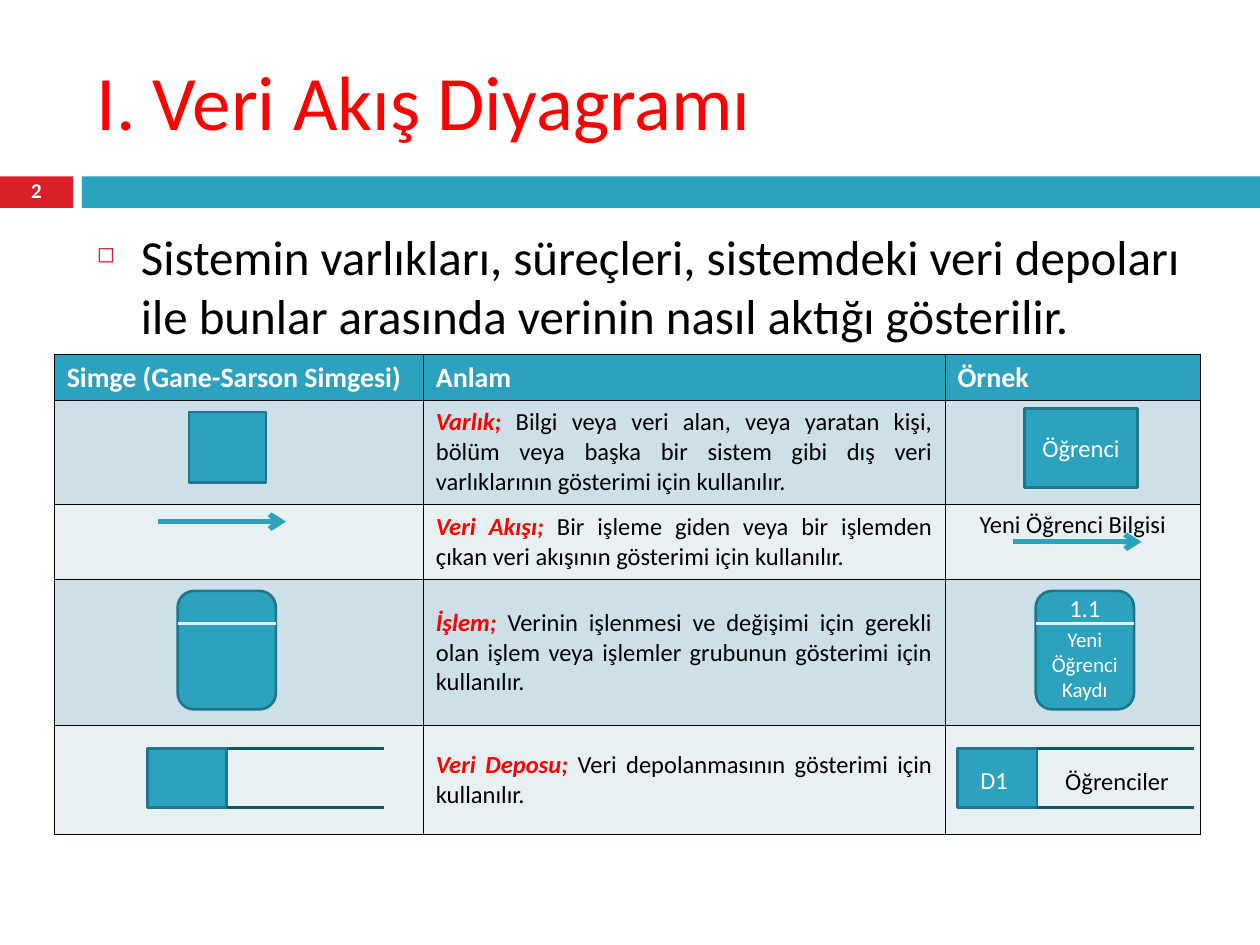
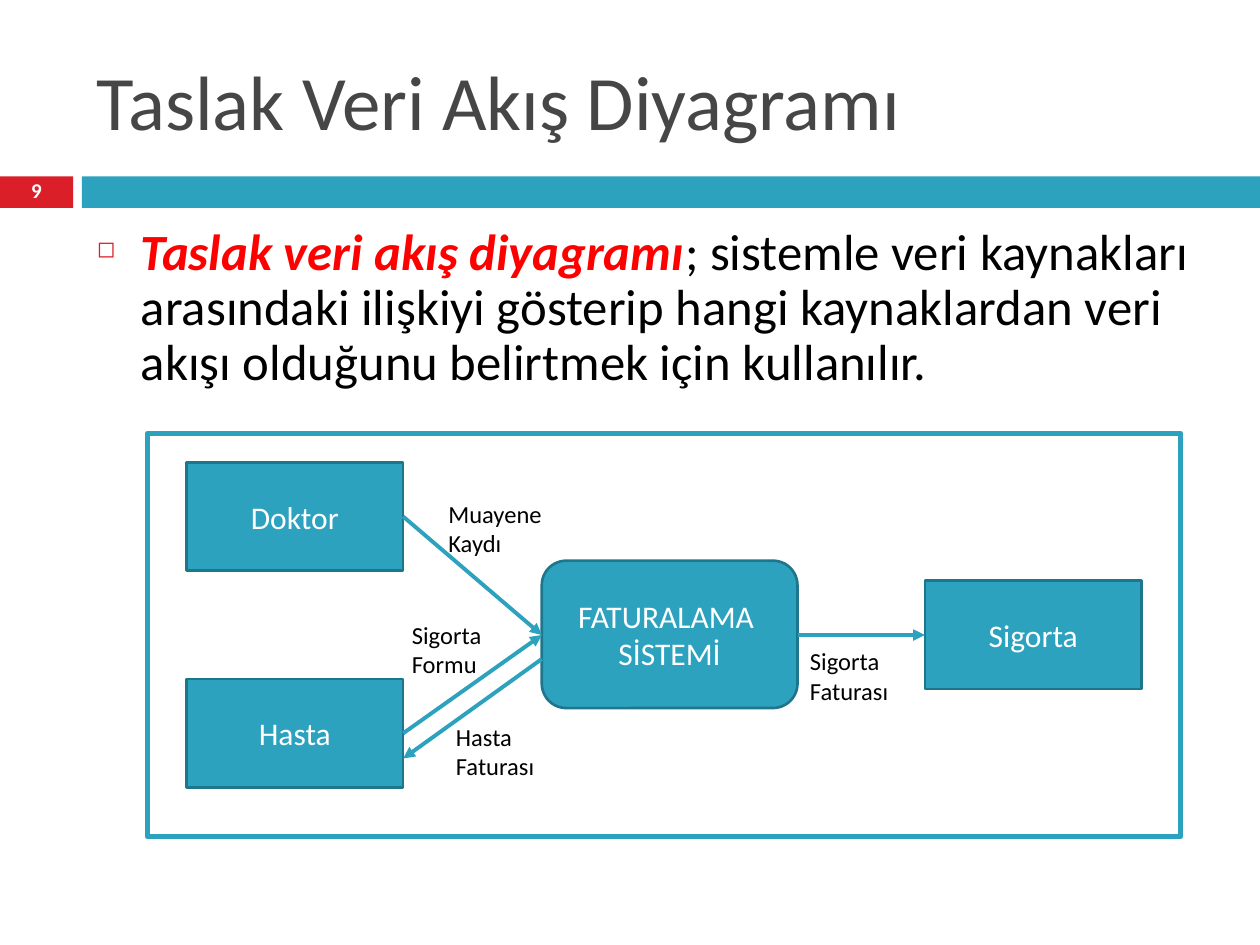
import pptx
import pptx.util
import pptx.dml.color
import pptx.enum.shapes
import pptx.enum.text
import pptx.oxml
import pptx.oxml.ns

Inches = pptx.util.Inches
Pt = pptx.util.Pt
RGBColor = pptx.dml.color.RGBColor
SHAPE = pptx.enum.shapes.MSO_SHAPE
ALIGN = pptx.enum.text.PP_ALIGN
ANCHOR = pptx.enum.text.MSO_ANCHOR
AUTO = pptx.enum.text.MSO_AUTO_SIZE
NS = pptx.oxml.ns.nsdecls("a")

TEAL = RGBColor(0x2D, 0xA2, 0xBF)
TEAL_EDGE = RGBColor(0x1E, 0x76, 0x8C)
TEAL_DARK = RGBColor(0x10, 0x57, 0x66)
TEAL_PALE = RGBColor(0xDE, 0xF5, 0xFA)
BAND_DARK = RGBColor(0xCD, 0xE0, 0xE8)
BAND_LIGHT = RGBColor(0xE8, 0xF0, 0xF4)
CRIMSON = RGBColor(0xDA, 0x1F, 0x28)
RED = RGBColor(0xFF, 0, 0)
GREY = RGBColor(0x46, 0x46, 0x46)
BLACK = RGBColor(0, 0, 0)
WHITE = RGBColor(0xFF, 0xFF, 0xFF)
TERM = {"bold": True, "italic": True, "color": RED}


def write(tf, paras, align=ALIGN.LEFT, **base):
    for i, runs in enumerate(paras):
        p = tf.paragraphs[0] if i == 0 else tf.add_paragraph()
        p.alignment = align
        for text, extra in runs:
            r = p.add_run()
            r.text = text
            fmt = {"name": "Calibri", "bold": False, "italic": False, **base, **extra}
            r.font.color.rgb = fmt.pop("color")
            for key, value in fmt.items():
                setattr(r.font, key, value)


def box(s, kind, at, text="", fill=TEAL, edge=TEAL_EDGE, width=1.5, size=14,
        color=WHITE, align=ALIGN.CENTER, anchor=ANCHOR.MIDDLE, wrap=True, bold=False):
    at = [Inches(v) for v in at]
    if kind is None:
        sp = s.shapes.add_textbox(*at)
    else:
        sp = s.shapes.add_shape(kind, *at)
        sp.shadow.inherit = False
        sp.fill.solid()
        sp.fill.fore_color.rgb = fill
        if edge is None:
            sp.line.fill.background()
        else:
            sp.line.color.rgb = edge
            sp.line.width = Pt(width)
    tf = sp.text_frame
    tf.word_wrap = wrap
    tf.vertical_anchor = anchor
    if not wrap:
        tf.auto_size = AUTO.SHAPE_TO_FIT_TEXT
    if text:
        paras = [[(t, {})] for t in text.split("\n")] if isinstance(text, str) else text
        write(tf, paras, align, size=Pt(size), color=color, bold=bold)
    return sp


prs = pptx.Presentation()
prs.slide_width, prs.slide_height = Inches(10), Inches(7.5)

pages = [
    ("I. Veri Akış Diyagramı", RED, "2", 1.06, 28, 1.0,
     [("Sistemin varlıkları, süreçleri, sistemdeki veri depoları ile bunlar "
       "arasında verinin nasıl aktığı gösterilir.", {})]),
    ("Taslak Veri Akış Diyagramı", GREY, "9", 1.53, 29, 0.9,
     [("Taslak veri akış diyagramı", TERM),
      ("; sistemle veri kaynakları arasındaki ilişkiyi gösterip hangi kaynaklardan "
       "veri akışı olduğunu belirtmek için kullanılır.", {})]),
]
slides = []
for title, title_color, number, height, size, spacing, body in pages:
    s = prs.slides.add_slide(prs.slide_layouts[6])
    slides.append(s)
    box(s, SHAPE.RECTANGLE, (0, 1.4, 0.58, 0.25), fill=CRIMSON, edge=None)
    box(s, SHAPE.RECTANGLE, (0.65, 1.4, 9.35, 0.25), edge=None)
    box(s, None, (0.67, 0.25, 8.92, 1.08), title, size=44, color=title_color, align=ALIGN.LEFT)
    sp = box(s, None, (0, 1.39, 0.58, 0.27), number, size=12, bold=True)
    sp.text_frame.paragraphs[0].line_spacing = 0.8
    sp = box(s, None, (0.67, 1.75, 8.92, height), [body], size=size, color=BLACK,
             align=ALIGN.LEFT, anchor=ANCHOR.TOP)
    p = sp.text_frame.paragraphs[0]
    pPr = p._p.get_or_add_pPr()
    pPr.set("marL", str(Inches(0.35)))
    pPr.set("indent", str(-Inches(0.35)))
    for xml in (f'<a:buClr {NS}><a:srgbClr val="{CRIMSON}"/></a:buClr>',
                f'<a:buSzPct {NS} val="45000"/>', f'<a:buChar {NS} char="◻"/>'):
        pPr.append(pptx.oxml.parse_xml(xml))
    p.line_spacing = spacing

symbols, draft = slides

rows = [
    ("Varlık;", " Bilgi veya veri alan, veya yaratan kişi, bölüm veya başka bir sistem "
     "gibi dış veri varlıklarının gösterimi için kullanılır.", ""),
    ("Veri Akışı; ", "Bir işleme giden veya bir işlemden çıkan veri akışının gösterimi "
     "için kullanılır.", "Yeni Öğrenci Bilgisi"),
    ("İşlem;", " Verinin işlenmesi ve değişimi için gerekli olan işlem veya işlemler "
     "grubunun gösterimi için kullanılır.", ""),
    ("Veri Deposu; ", "Veri depolanmasının gösterimi için kullanılır.", ""),
]
tbl = symbols.shapes.add_table(5, 3, Inches(0.43), Inches(2.81), Inches(9.1), Inches(3.81)).table
tbl.first_row = tbl.horz_banding = False
for col, w in zip(tbl.columns, (2.93, 4.14, 2.03)):
    col.width = Inches(w)
for row, h in zip(tbl.rows, (0.37, 0.82, 0.6, 1.16, 0.86)):
    row.height = Inches(h)
for i, row in enumerate(tbl.rows):
    for cell in row.cells:
        tcPr = cell._tc.get_or_add_tcPr()
        for side in "LRTB":
            tcPr.append(pptx.oxml.parse_xml(
                f'<a:ln{side} {NS} w="{Pt(0.45)}"><a:solidFill><a:srgbClr val="{BLACK}"/>'
                f'</a:solidFill></a:ln{side}>'))
        cell.fill.solid()
        cell.fill.fore_color.rgb = TEAL if i == 0 else BAND_DARK if i % 2 else BAND_LIGHT
for j, head in enumerate(("Simge (Gane-Sarson Simgesi)", "Anlam", "Örnek")):
    write(tbl.cell(0, j).text_frame, [[(head, {})]], size=Pt(16), bold=True, color=WHITE)
for i, (term, meaning, example) in enumerate(rows, 1):
    cell = tbl.cell(i, 1)
    cell.vertical_anchor = ANCHOR.MIDDLE
    write(cell.text_frame, [[(term, TERM), (meaning, {})]], ALIGN.JUSTIFY, size=Pt(14), color=BLACK)
    if example:
        write(tbl.cell(i, 2).text_frame, [[(example, {})]], ALIGN.CENTER, size=Pt(14), color=BLACK)

lines = []
box(symbols, SHAPE.FLOWCHART_PROCESS, (1.5, 3.27, 0.61, 0.56))
box(symbols, SHAPE.FLOWCHART_PROCESS, (8.13, 3.24, 0.9, 0.63), "Öğrenci")
for x, y in ((1.25, 4.14), (8.04, 4.3)):
    lines.append((symbols, x, y, x + 1.02, y, TEAL, 3, "arrow"))
for x in (1.41, 8.22):
    box(symbols, SHAPE.FLOWCHART_ALTERNATE_PROCESS, (x, 4.69, 0.78, 0.94))
    lines.append((symbols, x, 4.95, x + 0.78, 4.95, TEAL_PALE, 1.5, None))
for x in (1.17, 7.6):
    box(symbols, SHAPE.FLOWCHART_PROCESS, (x, 5.94, 0.63, 0.47))
    for y in (5.94, 6.41):
        lines.append((symbols, x + 0.63, y, x + 1.88, y, TEAL_DARK, 1.5, None))
for text, at, size, color in (
        ("1.1", (8.22, 4.66, 0.78, 0.34), 14, WHITE),
        ("Yeni\nÖğrenci\nKaydı", (8.22, 4.92, 0.78, 0.7), 12, WHITE),
        ("D1", (7.58, 6.02, 0.62, 0.34), 14, WHITE),
        ("Öğrenciler", (8.24, 6.03, 1.25, 0.34), 14, BLACK)):
    box(symbols, None, at, text, size=size, color=color, anchor=ANCHOR.TOP)

box(draft, SHAPE.RECTANGLE, (1.17, 3.44, 8.2, 3.2), fill=WHITE, edge=TEAL, width=3)
for text, x, y in (("Doktor", 1.48, 3.67), ("Hasta", 1.48, 5.39), ("Sigorta", 7.34, 4.61)):
    box(draft, SHAPE.RECTANGLE, (x, y, 1.72, 0.86), text, size=18)
box(draft, SHAPE.ROUNDED_RECTANGLE, (4.3, 4.45, 2.03, 1.17), "FATURALAMA \nSİSTEMİ", size=18)
for flow in ((3.2, 4.1, 4.3, 5.04), (3.2, 5.82, 4.3, 5.04),
             (6.33, 5.04, 7.34, 5.04), (4.3, 5.23, 3.2, 6.02)):
    lines.append((draft, *flow, TEAL, 2.25, "triangle"))
for text, x, y, w in (("Muayene\nKaydı", 3.46, 3.91, 0.99), ("Sigorta\nFormu", 3.17, 4.87, 0.75),
                      ("Hasta\nFaturası", 3.52, 5.68, 0.83), ("Sigorta\nFaturası", 6.33, 5.08, 0.83)):
    box(draft, None, (x, y, w, 0.57), text, color=BLACK, align=ALIGN.LEFT,
        anchor=ANCHOR.TOP, wrap=False)

for s, x1, y1, x2, y2, color, width, head in lines:
    cn = s.shapes.add_connector(pptx.enum.shapes.MSO_CONNECTOR.STRAIGHT,
                                Inches(x1), Inches(y1), Inches(x2), Inches(y2))
    cn.line.color.rgb = color
    cn.line.width = Pt(width)
    if head:
        cn.line._get_or_add_ln().append(pptx.oxml.parse_xml(f'<a:tailEnd {NS} type="{head}"/>'))
    cn._element.spPr.append(pptx.oxml.parse_xml(f'<a:effectLst {NS}/>'))

prs.save("out.pptx")
